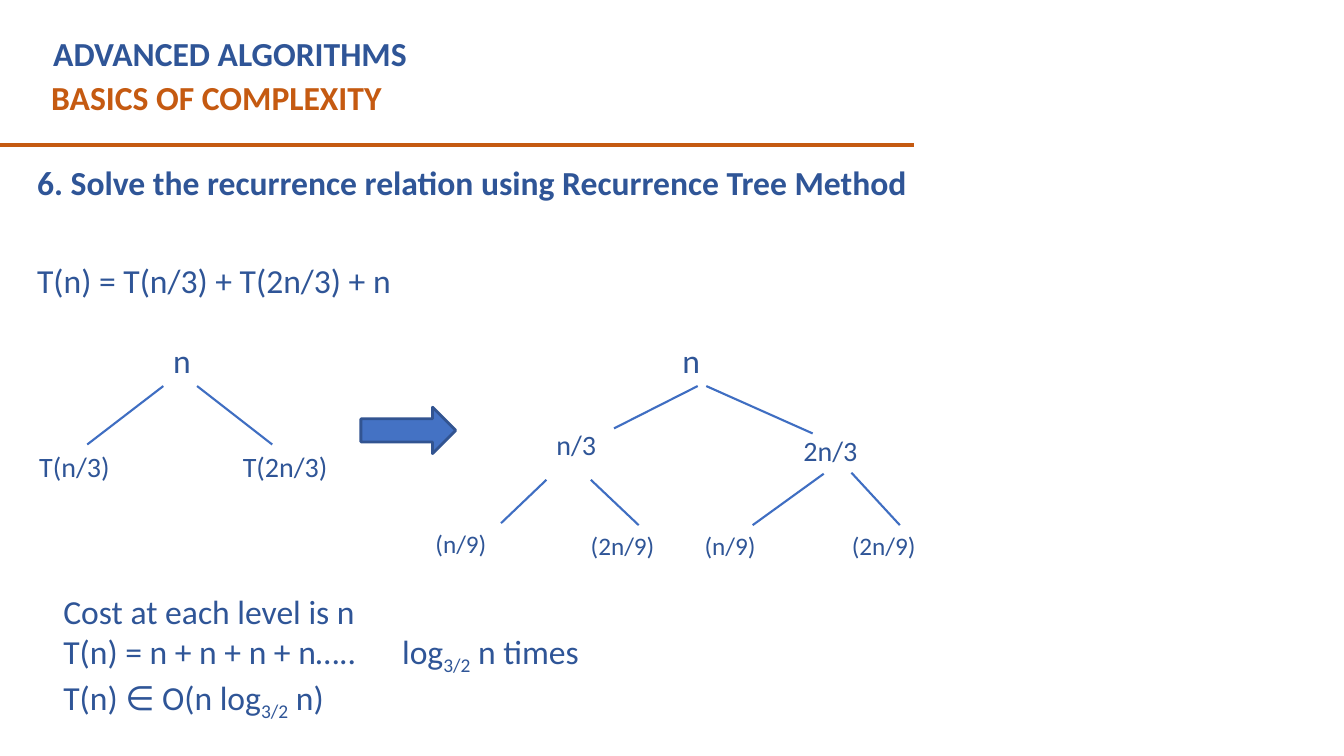
import pptx
import pptx.dml.color
import pptx.enum.shapes
import pptx.enum.text
import pptx.oxml.ns
import pptx.util
from lxml import etree

PX = 9144  # EMU per px, 100 px to the inch
NAVY, ORANGE, EDGE_BLUE = "2F5597", "C55A11", "3F6EC2"
ARROW_FILL, ARROW_LINE = "4472C4", "325491"
TOP, BOTTOM = 0, 2


def px(*lengths):
    return [pptx.util.Emu(length * PX) for length in lengths]


def colour(hex_value):
    return pptx.dml.color.RGBColor.from_string(hex_value)


def add_sub(parent, tag, **attributes):
    return etree.SubElement(parent, pptx.oxml.ns.qn(tag), **attributes)


def add_text(shapes, box, *lines, size=24, hue=NAVY, bold=False, tab=None):
    """Add a text box; pieces between bars in a line are set as subscripts."""
    label = shapes.add_textbox(*px(*box))
    frame = label.text_frame
    frame.word_wrap = True
    for index, line in enumerate(lines):
        paragraph = frame.paragraphs[0] if index == 0 else frame.add_paragraph()
        if tab and "\t" in line:
            stops = add_sub(paragraph._p.get_or_add_pPr(), "a:tabLst")
            add_sub(stops, "a:tab", pos=str(tab * PX), algn="l")
        for part, piece in enumerate(line.split("|")):
            run = paragraph.add_run()
            run.text = piece
            run.font.name = "Calibri"
            run.font.size = pptx.util.Pt(size)
            run.font.bold = bold
            run.font.color.rgb = colour(hue)
            if part % 2:
                run._r.get_or_add_rPr().set("baseline", "-25000")
    return label


def add_line(shapes, start, end, hue=EDGE_BLUE, width=1.5, parent=None, child=None):
    """Draw a line, joined to the parent's bottom or the child's top if given."""
    line = shapes.add_connector(
        pptx.enum.shapes.MSO_CONNECTOR.STRAIGHT, *px(*start, *end))
    line.line.color.rgb = colour(hue)
    line.line.width = pptx.util.Pt(width)
    add_sub(line._element.spPr, "a:effectLst")
    if parent is not None:
        line.begin_connect(parent, BOTTOM)
    if child is not None:
        line.end_connect(child, TOP)


def add_question(shapes):
    question = add_text(shapes, (17, 141, 907, 176),
                        "6. Solve the recurrence relation using Recurrence Tree Method",
                        "T(n) = T(n/3) + T(2n/3) + n", bold=True)
    frame = question.text_frame
    frame.vertical_anchor = pptx.enum.text.MSO_ANCHOR.MIDDLE
    frame.margin_top = frame.margin_bottom = 0
    for paragraph, gap in zip(frame.paragraphs, (41, 6)):
        paragraph.alignment = pptx.enum.text.PP_ALIGN.JUSTIFY
        paragraph.space_after = pptx.util.Pt(gap)
        paragraph._p.get_or_add_pPr().set("marL", str(10 * PX))
    frame.paragraphs[1].runs[0].font.bold = False


def add_first_tree(shapes):
    tree = shapes.add_group_shape().shapes
    root = add_text(tree, (162, 332, 67, 51), "n")
    third = add_text(tree, (29, 441, 115, 43), "T(n/3)", size=20)
    add_text(tree, (231, 441, 115, 76), "T(2n/3)", size=20)
    add_line(tree, (162, 383), (87, 441), child=third)
    add_line(tree, (196, 383), (270, 441), parent=root)


def add_second_tree(shapes):
    tree = shapes.add_group_shape().shapes
    root = add_text(tree, (667, 332, 67, 51), "n")
    add_text(tree, (542, 419, 115, 43), "n/3", size=20)
    two_thirds = add_text(tree, (787, 425, 115, 44), "2n/3", size=20)
    leaves = [add_text(tree, (left, top, 115, 40), cost, size=18)
              for left, top, cost in ((422, 519, "(n/9)"), (576, 521, "(2n/9)"),
                                      (689, 521, "(n/9)"), (835, 521, "(2n/9)"))]
    add_line(tree, (692, 383), (609, 425))
    add_line(tree, (701, 383), (806, 430), parent=root)
    add_line(tree, (542, 476), (497, 519))
    add_line(tree, (586, 476), (634, 521), child=leaves[1])
    add_line(tree, (817, 470), (747, 521), child=leaves[2])
    add_line(tree, (844, 469), (892, 521), parent=two_thirds, child=leaves[3])


def add_expansion_arrow(shapes):
    arrow = shapes.add_shape(
        pptx.enum.shapes.MSO_SHAPE.RIGHT_ARROW, *px(358, 404, 94, 46))
    arrow.shadow.inherit = False
    arrow.fill.solid()
    arrow.fill.fore_color.rgb = colour(ARROW_FILL)
    arrow.line.color.rgb = colour(ARROW_LINE)
    arrow.line.width = pptx.util.Pt(2)


def main():
    deck = pptx.Presentation()
    deck.slide_width, deck.slide_height = px(1333, 750)
    shapes = deck.slides.add_slide(deck.slide_layouts[6]).shapes

    add_text(shapes, (41, 71, 875, 50), "BASICS OF COMPLEXITY", hue=ORANGE, bold=True)
    add_line(shapes, (-1, 144), (907, 144), hue=ORANGE, width=3)
    add_question(shapes)
    add_text(shapes, (43, 28, 820, 50), "ADVANCED ALGORITHMS", bold=True)
    add_first_tree(shapes)
    add_second_tree(shapes)
    add_expansion_arrow(shapes)
    add_text(shapes, (53, 581, 813, 141),
             "Cost at each level is n",
             "T(n) = n + n + n + n…..\tlog|3/2| n times",
             "T(n) ∈ O(n log|3/2| n)", tab=336)
    deck.save("out.pptx")


if __name__ == "__main__":
    main()
